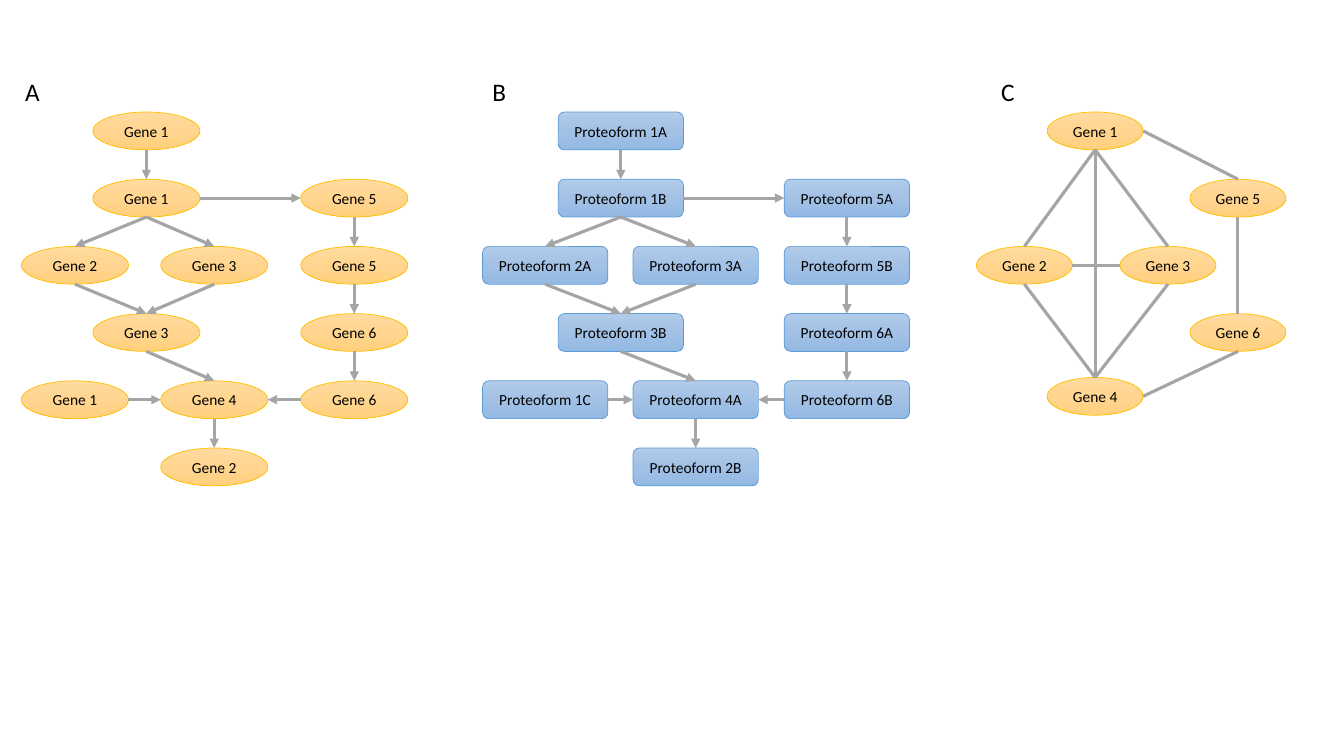
from copy import deepcopy
from dataclasses import dataclass

from lxml.etree import SubElement
from pptx import Presentation
from pptx.dml.color import RGBColor
from pptx.enum.shapes import MSO_CONNECTOR, MSO_SHAPE
from pptx.enum.text import MSO_ANCHOR, PP_ALIGN
from pptx.oxml.ns import qn
from pptx.util import Pt


@dataclass(frozen=True)
class Theme:
    font: str = "Calibri"
    ink: str = "000000"
    link: str = "A5A5A5"
    gold: tuple = ("FFDB9E", "FFD590", "FFD07C")
    gold_edge: str = "FFC000"
    blue: tuple = ("B1CBE9", "A3C1E5", "93B9E4")
    blue_edge: str = "5B9BD5"
    label: float = 11
    letter: float = 18
    edge: float = 0.5
    stroke: float = 2.25


@dataclass(frozen=True)
class Style:
    form: int
    fill: tuple
    edge: str
    word: str
    code: int
    step: int


THEME = Theme()
GENE = Style(MSO_SHAPE.OVAL, THEME.gold, THEME.gold_edge, "Gene", 1, 2)
PROTEIN = Style(MSO_SHAPE.ROUNDED_RECTANGLE, THEME.blue, THEME.blue_edge,
                "Proteoform", 2, 1)

PITCH, HIGH, HEAD = 48, 27, 29
SIDES = "tlbr"

FLOW = {
    "1A": (1, 0), "1B": (1, 1), "2A": (0, 2), "3A": (2, 2),
    "3B": (1, 3), "1C": (0, 4), "4A": (2, 4), "2B": (2, 5),
    "5A": (3, 1), "5B": (3, 2), "6A": (3, 3), "6B": (3, 4),
}
STEPS = [
    ("1A", "1B", "bt"), ("1B", "2A", "bt"), ("1B", "3A", "bt"),
    ("2A", "3B", "bt"), ("3A", "3B", "bt"), ("3B", "4A", "bt"),
    ("4A", "2B", "bt"), ("5A", "5B", "bt"), ("5B", "6A", "bt"),
    ("6A", "6B", "bt"), ("1B", "5A", "rl"), ("1C", "4A", "rl"),
    ("6B", "4A", "lr"),
]
NET = {
    "1": (1, 0), "5": (3, 1), "2": (0, 2),
    "3": (2, 2), "6": (3, 3), "4": (1, 3.95),
}
TIES = [
    ("1", "2", "bt"), ("1", "3", "bt"), ("1", "4", "bt"),
    ("2", "4", "bt"), ("3", "4", "bt"), ("2", "3", "rl"),
    ("1", "5", "rt"), ("5", "6", "bt"), ("6", "4", "br"),
]


def color(code):
    return RGBColor.from_string(code)


def write(shape, text, size, align):
    frame = shape.text_frame
    frame.text = text
    para = frame.paragraphs[0]
    para.alignment = align
    font = para.runs[0].font
    font.name, font.size = THEME.font, Pt(size)
    font.color.rgb = color(THEME.ink)
    return frame


def shade(shape, codes):
    shape.fill.gradient()
    stops = shape._element.spPr.find(".//" + qn("a:gsLst"))
    stops.insert(1, deepcopy(stops[0]))
    for rank, stop in enumerate(shape.fill.gradient_stops):
        stop.position = rank / 2
        stop.color.rgb = color(codes[rank])
    shape.fill.gradient_angle = 270


def node(slide, style, key, left, top, wide):
    shape = slide.shapes.add_shape(
        style.form, Pt(left), Pt(top), Pt(wide), Pt(HIGH))
    shape.shadow.inherit = False
    shade(shape, style.fill)
    shape.line.color.rgb = color(style.edge)
    shape.line.width = Pt(THEME.edge)
    frame = write(shape, f"{style.word} {key[:style.code]}", THEME.label,
                  PP_ALIGN.CENTER)
    frame.word_wrap = False
    frame.vertical_anchor = MSO_ANCHOR.MIDDLE
    frame.margin_left = frame.margin_right = 0
    return shape


def link(slide, start, end, sides, step, arrow):
    line = slide.shapes.add_connector(MSO_CONNECTOR.STRAIGHT, 0, 0, 0, 0)
    line.begin_connect(start, SIDES.index(sides[0]))
    line.end_connect(end, SIDES.index(sides[1]))
    for tag in ("a:stCxn", "a:endCxn"):
        site = line._element.find(".//" + qn(tag))
        site.set("idx", str(int(site.get("idx")) * step))
    line.line.color.rgb = color(THEME.link)
    line.line.width = Pt(THEME.stroke)
    props = line._element.spPr
    if arrow:
        SubElement(props.find(qn("a:ln")), qn("a:tailEnd"), type="triangle")
    SubElement(props, qn("a:effectLst"))


def panel(slide, box, letter, shift, style, cols, places, links, arrow):
    left, top, wide = box
    title = slide.shapes.add_textbox(
        Pt(left + shift), Pt(top), Pt(25), Pt(HEAD))
    write(title, letter, THEME.letter, PP_ALIGN.LEFT)
    nodes = {
        key: node(slide, style, key, left + cols[col],
                  top + HEAD + row * PITCH, wide)
        for key, (col, row) in places.items()
    }
    for start, end, sides in links:
        link(slide, nodes[start], nodes[end], sides, style.step, arrow)


deck = Presentation()
deck.slide_width, deck.slide_height = Pt(960), Pt(540)
slide = deck.slides.add_slide(deck.slide_layouts[6])
panel(slide, (15.3, 51, 76.5), "A", -4.5, GENE, (0, 51, 99.5, 199.5),
      FLOW, STEPS, True)
panel(slide, (344.7, 51, 89.5), "B", 0, PROTEIN, (0, 54, 107.5, 215.5),
      FLOW, STEPS, True)
panel(slide, (697.5, 51, 68.5), "C", 10.5, GENE, (0, 50.5, 102.5, 152.5),
      NET, TIES, False)
deck.save("out.pptx")
